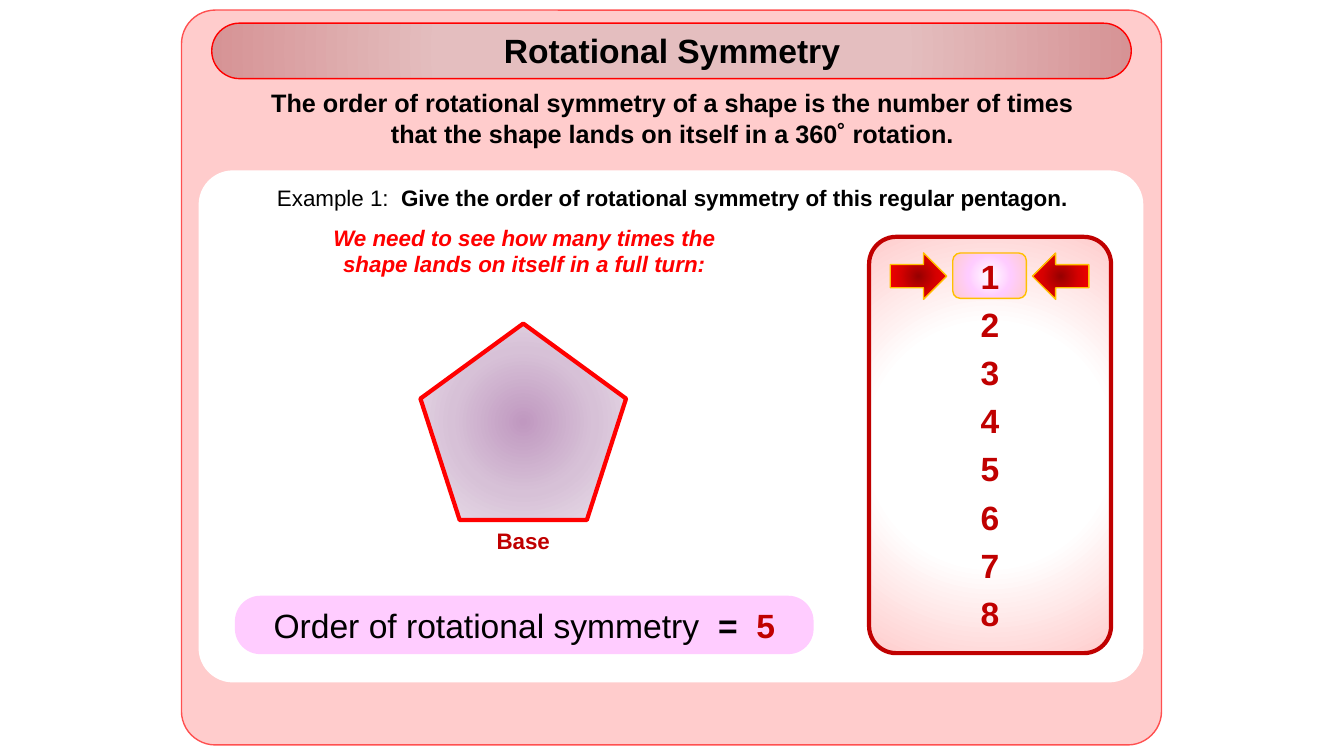
from dataclasses import dataclass
from typing import Optional, Union

import pptx
import pptx.util
import pptx.dml.color
import pptx.enum.shapes
import pptx.enum.text
import pptx.oxml.ns
from lxml import etree

RGB = pptx.dml.color.RGBColor
MSO = pptx.enum.shapes.MSO_SHAPE
ANCHOR = pptx.enum.text.MSO_ANCHOR
qn = pptx.oxml.ns.qn

BLACK = RGB(0x00, 0x00, 0x00)
WHITE = RGB(0xFF, 0xFF, 0xFF)
RED = RGB(0xFF, 0x00, 0x00)
DARK_RED = RGB(0xC0, 0x00, 0x00)
CORAL = RGB(0xFF, 0x50, 0x50)
PINK = RGB(0xFF, 0xCC, 0xCC)
ORCHID = RGB(0xFF, 0xCC, 0xFF)
GOLD = RGB(0xFF, 0xC0, 0x00)

# The grid has square cells, a tenth of an inch wide
CELL = 0.1


@dataclass(frozen=True)
class Box:
    col: float
    row: float
    cols: float
    rows: float

    def emu(self) -> list[int]:
        return [pptx.util.Inches(n * CELL)
                for n in (self.col, self.row, self.cols, self.rows)]


@dataclass(frozen=True)
class Stop:
    percent: int
    color: RGB


Fill = Union[RGB, tuple[Stop, ...]]


@dataclass(frozen=True)
class Panel:
    kind: MSO
    box: Box
    fill: Fill
    line: Optional[RGB] = None
    width: float = 1
    adj: Optional[float] = None
    rotation: float = 0


@dataclass(frozen=True)
class Run:
    text: str
    bold: bool = True
    color: RGB = BLACK


TITLE_FILL = (Stop(50, RGB(0xE4, 0xBE, 0xBF)), Stop(100, RGB(0xD6, 0x93, 0x95)))
LIST_FILL = (Stop(0, WHITE), Stop(50, WHITE), Stop(100, PINK))
PENTAGON_FILL = (Stop(0, RGB(0xC0, 0x98, 0xC0)), Stop(50, RGB(0xD7, 0xC1, 0xD7)),
                 Stop(100, RGB(0xEB, 0xE1, 0xEB)))
ARROW_FILL = (Stop(0, RGB(0x97, 0x00, 0x00)), Stop(50, RGB(0xD7, 0x00, 0x00)),
              Stop(100, RED))
MARKER_FILL = (Stop(0, WHITE), Stop(50, ORCHID), Stop(100, PINK))

PANELS = [
    # Card, white sheet, number list and title bar
    Panel(MSO.ROUNDED_RECTANGLE, Box(18, 1, 97.2, 72.9), PINK, CORAL, adj=0.046),
    Panel(MSO.ROUNDED_RECTANGLE, Box(19.7, 16.9, 93.7, 50.8), WHITE, adj=0.067),
    Panel(MSO.ROUNDED_RECTANGLE, Box(86.2, 23.5, 24, 41.3), LIST_FILL, DARK_RED, 3, 0.112),
    Panel(MSO.ROUNDED_RECTANGLE, Box(21, 2.3, 91.2, 5.5), TITLE_FILL, RED, adj=0.5),
    # Answer bar and pentagon
    Panel(MSO.ROUNDED_RECTANGLE, Box(23.3, 59.1, 57.4, 5.8), ORCHID, adj=0.436),
    Panel(MSO.REGULAR_PENTAGON, Box(41.7, 32.1, 20.4, 19.5), PENTAGON_FILL, RED, 3),
    # Marker around the current number
    Panel(MSO.RIGHT_ARROW, Box(88.3, 25.1, 5.6, 4.6), ARROW_FILL, GOLD),
    Panel(MSO.RIGHT_ARROW, Box(102.4, 25.1, 5.6, 4.6), ARROW_FILL, GOLD, rotation=180),
    Panel(MSO.ROUNDED_RECTANGLE, Box(94.5, 25.1, 7.3, 4.5), MARKER_FILL, GOLD),
]

FIRST_NUMBER = Box(91.9, 24.9, 12.6, 5)
NUMBER_STEP = 4.77


def radial_fill(sp, stops: tuple[Stop, ...]) -> None:
    """Fill a shape with a gradient that runs out from its centre."""
    grad = etree.Element(qn("a:gradFill"), rotWithShape="1")
    gs_list = etree.SubElement(grad, qn("a:gsLst"))
    for stop in stops:
        gs = etree.SubElement(gs_list, qn("a:gs"), pos=str(stop.percent * 1000))
        etree.SubElement(gs, qn("a:srgbClr"), val=str(stop.color))
    circle = etree.SubElement(grad, qn("a:path"))
    circle.set("path", "circle")
    etree.SubElement(circle, qn("a:fillToRect"),
                     {side: "50000" for side in "ltrb"})
    sp._element.spPr.find(qn("a:prstGeom")).addnext(grad)


def add_panel(shapes, panel: Panel) -> None:
    sp = shapes.add_shape(panel.kind, *panel.box.emu())
    sp.shadow.inherit = False
    sp.rotation = panel.rotation
    if panel.adj is not None:
        sp.adjustments[0] = panel.adj
    if isinstance(panel.fill, RGB):
        sp.fill.solid()
        sp.fill.fore_color.rgb = panel.fill
    else:
        radial_fill(sp, panel.fill)
    if panel.line is None:
        sp.line.fill.background()
    else:
        sp.line.color.rgb = panel.line
        sp.line.width = pptx.util.Pt(panel.width)


def write(shapes, box: Box, *lines: list[Run], size: float = 16,
          italic: bool = False, anchor: ANCHOR = ANCHOR.TOP, sp=None) -> None:
    """Write centred lines into a given shape, or into a new text box."""
    if sp is None:
        sp = shapes.add_textbox(*box.emu())
    else:
        sp.left, sp.top, sp.width, sp.height = box.emu()
    tf = sp.text_frame
    tf.word_wrap = True
    tf.auto_size = pptx.enum.text.MSO_AUTO_SIZE.NONE
    tf.vertical_anchor = anchor
    for i, runs in enumerate(lines):
        p = tf.add_paragraph() if i else tf.paragraphs[0]
        p.alignment = pptx.enum.text.PP_ALIGN.CENTER
        for run in runs:
            r = p.add_run()
            r.text = run.text
            r.font.name = "Arial"
            r.font.size = pptx.util.Pt(size)
            r.font.bold = run.bold
            r.font.italic = italic
            r.font.color.rgb = run.color


def main() -> None:
    prs = pptx.Presentation()
    prs.slide_width = pptx.util.Inches(13.33)
    prs.slide_height = pptx.util.Inches(7.5)
    shapes = prs.slides.add_slide(prs.slide_layouts[5]).shapes

    for panel in PANELS:
        add_panel(shapes, panel)

    # Title, brought in front of its bar
    title = shapes.title
    shapes._spTree.append(title._element)
    write(shapes, Box(23.4, 2.5, 86.5, 5), [Run("Rotational Symmetry")],
          size=24, sp=title)

    # Definition and example
    write(shapes, Box(19, 8.2, 95.4, 7.1),
          [Run("The order of rotational symmetry of a shape is the number of times")],
          [Run("that the shape lands on itself in a 360˚ rotation.")], size=18)
    write(shapes, Box(22.9, 17.8, 87.6, 3.7),
          [Run("Example 1:  ", bold=False),
           Run("Give the order of rotational symmetry of this regular pentagon.")])
    write(shapes, Box(28.9, 21.7, 46.2, 6.4),
          [Run("We need to see how many times the shape lands on itself in a full turn:",
               color=RED)], italic=True)
    write(shapes, Box(45.9, 51.8, 12, 3.7), [Run("Base", color=DARK_RED)])

    # Answer
    write(shapes, Box(25.1, 59.5, 53.8, 5),
          [Run("Order of rotational symmetry  ", bold=False), Run("=  "),
           Run("5", color=DARK_RED)], size=24, anchor=ANCHOR.MIDDLE)

    # Numbers one to eight
    first = FIRST_NUMBER
    for i in range(8):
        box = Box(first.col, first.row + i * NUMBER_STEP, first.cols, first.rows)
        write(shapes, box, [Run(str(i + 1), color=DARK_RED)],
              size=24, anchor=ANCHOR.MIDDLE)

    prs.save("out.pptx")


if __name__ == "__main__":
    main()
